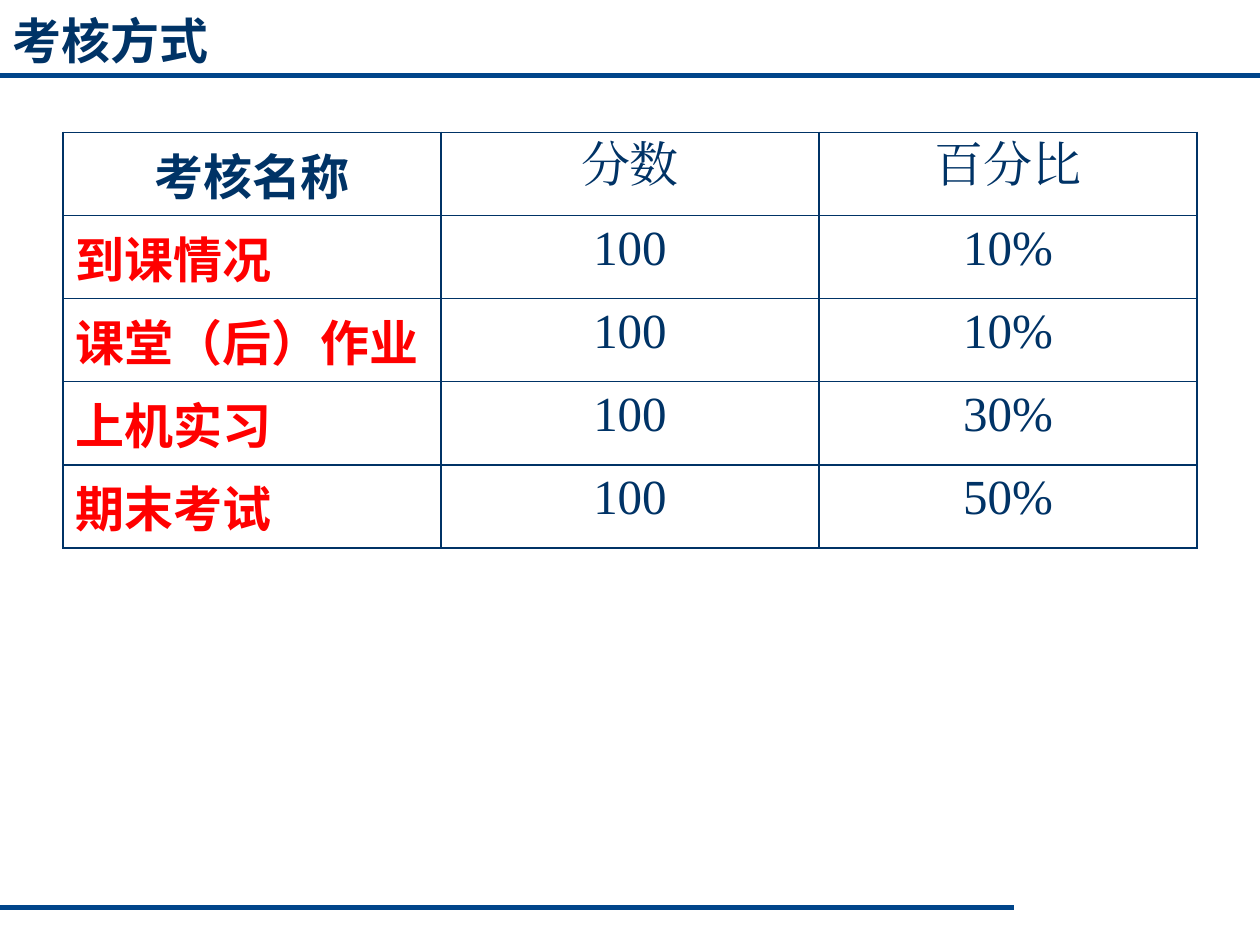
"""Build a slide with the assessment table of a course."""
from lxml import etree
from pptx import Presentation
from pptx.dml.color import RGBColor
from pptx.enum.shapes import MSO_CONNECTOR
from pptx.enum.text import MSO_ANCHOR, PP_ALIGN
from pptx.oxml.ns import qn
from pptx.util import Inches, Pt

STRAIGHT = MSO_CONNECTOR.STRAIGHT
MIDDLE = MSO_ANCHOR.MIDDLE
LEFT, CENTER = PP_ALIGN.LEFT, PP_ALIGN.CENTER

NAVY = RGBColor(0x00, 0x33, 0x66)
BLUE = RGBColor(0x00, 0x45, 0x8A)
RED = RGBColor(0xFF, 0x00, 0x00)
WHITE = RGBColor(0xFF, 0xFF, 0xFF)

TITLE_FONT = "DejaVu Sans Mono"
NAME_FONT = "Noto Sans CJK SC"
VALUE_FONT = "Times New Roman"
TEXT_SIZE = Pt(28)

COLUMN_WIDTH = 3
ROW_HEIGHT = 0.66
ROWS = [
    ("考核名称", "分数", "百分比"),
    ("到课情况", "100", "10%"),
    ("课堂（后）作业", "100", "10%"),
    ("上机实习", "100", "30%"),
    ("期末考试", "100", "50%"),
]


def add_run(paragraph, text, font_name, color, bold):
    """Add one run in the given font for Latin and East Asian letters."""
    run = paragraph.add_run()
    run.text = text
    font = run.font
    font.name, font.size, font.bold = font_name, TEXT_SIZE, bold
    font.color.rgb = color
    east_asian = etree.Element(qn("a:ea"), typeface=font_name)
    run._r.get_or_add_rPr().find(qn("a:latin")).addnext(east_asian)


def add_rule(slide, top, width):
    """Draw a horizontal rule from the left edge of the slide."""
    rule = slide.shapes.add_connector(
        STRAIGHT, Inches(0), Inches(top), Inches(width), Inches(top))
    rule.line.color.rgb = BLUE
    rule.line.width = Pt(3)
    etree.SubElement(rule._element.spPr, qn("a:effectLst"))


def add_title(slide, text):
    """Add the slide title above the upper rule."""
    box = slide.shapes.add_textbox(
        Inches(0), Inches(0), Inches(10), Inches(0.64))
    frame = box.text_frame
    frame.word_wrap = True
    frame.vertical_anchor = MIDDLE
    add_run(frame.paragraphs[0], text, TITLE_FONT, NAVY, True)


def style_cell(cell):
    """Give a cell a white fill and thin navy borders."""
    cell.fill.solid()
    cell.fill.fore_color.rgb = WHITE
    properties = cell._tc.get_or_add_tcPr()
    for index, side in enumerate(("a:lnL", "a:lnR", "a:lnT", "a:lnB")):
        border = etree.Element(qn(side), w=str(Pt(1)))
        fill = etree.SubElement(border, qn("a:solidFill"))
        etree.SubElement(fill, qn("a:srgbClr"), val=str(NAVY))
        properties.insert(index, border)


def add_assessment_table(slide, left, top):
    """Add the table of assessment names, scores and percentages."""
    column_count = len(ROWS[0])
    table = slide.shapes.add_table(
        len(ROWS), column_count, Inches(left), Inches(top),
        Inches(COLUMN_WIDTH * column_count),
        Inches(ROW_HEIGHT * len(ROWS))).table
    table.horz_banding = False
    for row_index, row in enumerate(ROWS):
        for column_index, text in enumerate(row):
            cell = table.cell(row_index, column_index)
            style_cell(cell)
            is_header, is_name = row_index == 0, column_index == 0
            is_item = is_name and not is_header
            paragraph = cell.text_frame.paragraphs[0]
            paragraph.alignment = LEFT if is_item else CENTER
            add_run(paragraph, text, NAME_FONT if is_name else VALUE_FONT,
                    RED if is_item else NAVY, is_name)


def main():
    """Build and save the presentation."""
    presentation = Presentation()
    presentation.slide_width = Inches(10)
    presentation.slide_height = Inches(7.5)
    slide = presentation.slides.add_slide(presentation.slide_layouts[6])
    add_rule(slide, 0.6, 10)
    add_rule(slide, 7.2, 8.05)
    add_title(slide, "考核方式")
    add_assessment_table(slide, 0.5, 1.05)
    presentation.save("out.pptx")


if __name__ == "__main__":
    main()
